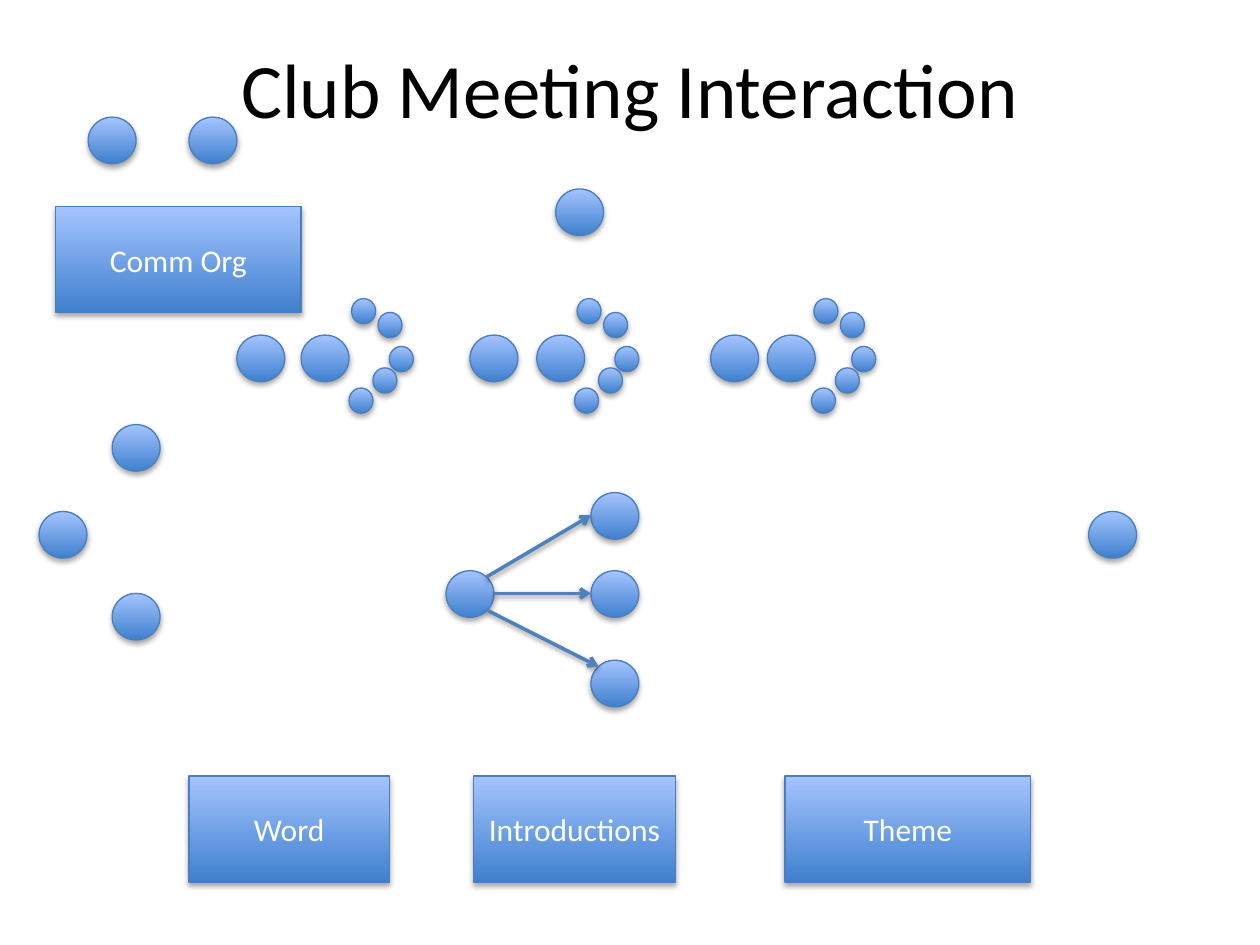
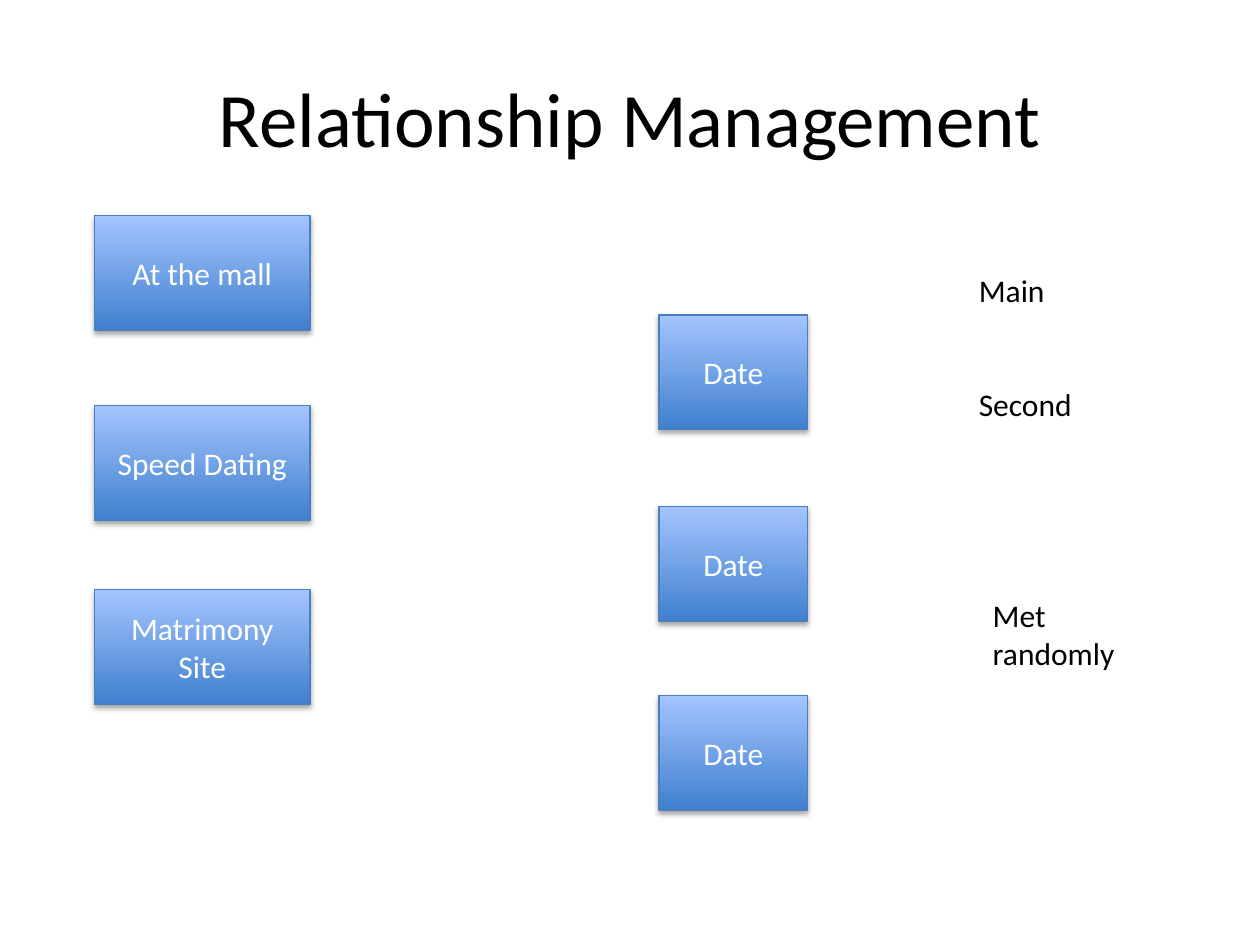
from lxml.etree import SubElement
from pptx import Presentation
from pptx.dml.color import RGBColor
from pptx.enum.shapes import MSO_CONNECTOR, MSO_SHAPE
from pptx.enum.text import MSO_ANCHOR, MSO_AUTO_SIZE, PP_ALIGN
from pptx.oxml.ns import qn
from pptx.util import Inches, Pt

DEEP_BLUE = RGBColor(0x3F, 0x80, 0xCE)
PALE_BLUE = RGBColor(0xA4, 0xC4, 0xFF)
OUTLINE = RGBColor(0x4B, 0x7E, 0xBC)
ARROW = RGBColor(0x4F, 0x81, 0xBD)
BLACK = RGBColor(0, 0, 0)
WHITE = RGBColor(255, 255, 255)
TITLE_FONT = {"name": "Calibri", "size": Pt(44), "color": BLACK}
BOX_FONT = {"name": "Calibri", "size": Pt(18), "color": WHITE}
NOTE_FONT = {**BOX_FONT, "color": BLACK}

# Slide 1: people are circles, given by their left and top
PERSON = (0.38, 0.37)
LISTENER = (0.19, 0.2)
PEOPLE = [(0.7, 0.93), (1.5, 0.93), (4.41, 1.5), (0.89, 3.37), (0.31, 4.06),
          (0.89, 4.71), (8.64, 4.06), (3.54, 4.53), (4.69, 3.91),
          (4.69, 4.53), (4.69, 5.24)]
PAIR_TOP = 2.66
# Each group: left of first person, left of second, left of listeners
GROUPS = [(1.88, 2.39, 2.77), (3.73, 4.26, 4.56), (5.64, 6.09, 6.44)]
# Listeners: shift from the left of the group's arc, and top
LISTENER_ARC = [(0.02, 2.37), (0.23, 2.48), (0.32, 2.75), (0.19, 2.92), (0, 3.08)]
ARROWS = [(3.86, 4.58, 4.69, 4.09), (3.92, 4.71, 4.69, 4.71), (3.86, 4.84, 4.75, 5.29)]
TOPIC_HEIGHT = 0.84
TOPICS = [("Comm Org", 0.44, 1.64, 1.95), ("Word", 1.5, 6.16, 1.59),
          ("Introductions", 3.76, 6.16, 1.6), ("Theme", 6.23, 6.16, 1.95)]

# Slide 2: columns of boxes as (left, width, [(label, top)])
STAGE_HEIGHT = 0.91
COLUMNS = [
    (0.75, 1.71, [("At the mall", 1.71), ("Speed Dating", 3.22), ("Matrimony Site", 4.68)]),
    (5.23, 1.18, [("Date", 2.5), ("Date", 4.02), ("Date", 5.52)]),
]
NOTES = [("Main", 7.67, 2.1, 1.4, 0.4), ("Second", 7.67, 3.01, 1.4, 0.4),
         ("Met randomly", 7.78, 4.68, 1.5, 0.71)]


def write(frame, text, font, align):
    """Put one formatted paragraph into a text frame."""
    para = frame.paragraphs[0]
    para.alignment = align
    span = para.add_run()
    span.text = text
    for name, value in font.items():
        if name == "color":
            span.font.color.rgb = value
        else:
            setattr(span.font, name, value)


def add_shadow(effects, distance, opacity):
    """Add a soft shadow that falls straight down."""
    shadow = SubElement(effects, qn("a:outerShdw"), blurRad=str(Pt(3.15)),
                        dist=str(Pt(distance)), dir="5400000", rotWithShape="0")
    colour = SubElement(shadow, qn("a:srgbClr"), val=str(BLACK))
    SubElement(colour, qn("a:alpha"), val=str(opacity * 1000))


def add_page(deck, title, top):
    """Add a title-only slide with its title at the given top."""
    page = deck.slides.add_slide(deck.slide_layouts[5])
    box = page.shapes.title
    place = {"left": 0.5, "top": top, "width": 9, "height": 1.25}
    for name, value in place.items():
        setattr(box, name, Inches(value))
    box.text_frame.vertical_anchor = MSO_ANCHOR.MIDDLE
    write(box.text_frame, title, TITLE_FONT, PP_ALIGN.CENTER)
    return page


def add_blue(page, kind, left, top, width, height, text=None):
    """Add a blue gradient shape, with a label if one is given."""
    box = page.shapes.add_shape(kind, *map(Inches, (left, top, width, height)))
    box.fill.gradient()
    box.fill.gradient_angle = 90
    for stop, colour in zip(box.fill.gradient_stops, (DEEP_BLUE, PALE_BLUE)):
        stop.color.rgb = colour
    box.line.color.rgb = OUTLINE
    box.line.width = Pt(0.75)
    box.shadow.inherit = False
    add_shadow(box._element.spPr.find(qn("a:effectLst")), 1.8, 35)
    if text:
        box.text_frame.word_wrap = True
        box.text_frame.vertical_anchor = MSO_ANCHOR.MIDDLE
        write(box.text_frame, text, BOX_FONT, PP_ALIGN.CENTER)


def add_arrow(page, ends):
    """Draw an arrow between two points."""
    arrow = page.shapes.add_connector(MSO_CONNECTOR.STRAIGHT, *map(Inches, ends))
    arrow.line.color.rgb = ARROW
    arrow.line.width = Pt(2)
    SubElement(arrow.line._get_or_add_ln(), qn("a:tailEnd"), type="arrow")
    add_shadow(SubElement(arrow._element.spPr, qn("a:effectLst")), 1.6, 38)


def add_note(page, text, *place):
    """Add a plain text box."""
    box = page.shapes.add_textbox(*map(Inches, place))
    box.text_frame.word_wrap = True
    box.text_frame.auto_size = MSO_AUTO_SIZE.SHAPE_TO_FIT_TEXT
    write(box.text_frame, text, NOTE_FONT, PP_ALIGN.LEFT)


def build_meeting(deck):
    """Build the slide of people who meet."""
    page = add_page(deck, "Club Meeting Interaction", 0.07)
    for left, top in PEOPLE:
        add_blue(page, MSO_SHAPE.OVAL, left, top, *PERSON)
    for first, second, arc_left in GROUPS:
        for left in (first, second):
            add_blue(page, MSO_SHAPE.OVAL, left, PAIR_TOP, *PERSON)
        for shift, top in LISTENER_ARC:
            add_blue(page, MSO_SHAPE.OVAL, arc_left + shift, top, *LISTENER)
    for ends in ARROWS:
        add_arrow(page, ends)
    for text, left, top, width in TOPICS:
        add_blue(page, MSO_SHAPE.RECTANGLE, left, top, width, TOPIC_HEIGHT, text)


def build_relationships(deck):
    """Build the slide of meeting places and dates."""
    page = add_page(deck, "Relationship Management", 0.3)
    for left, width, stages in COLUMNS:
        for text, top in stages:
            add_blue(page, MSO_SHAPE.RECTANGLE, left, top, width, STAGE_HEIGHT, text)
    for note in NOTES:
        add_note(page, *note)


deck = Presentation()
deck.slide_width, deck.slide_height = Inches(10), Inches(7.5)
build_meeting(deck)
build_relationships(deck)
deck.save("out.pptx")
